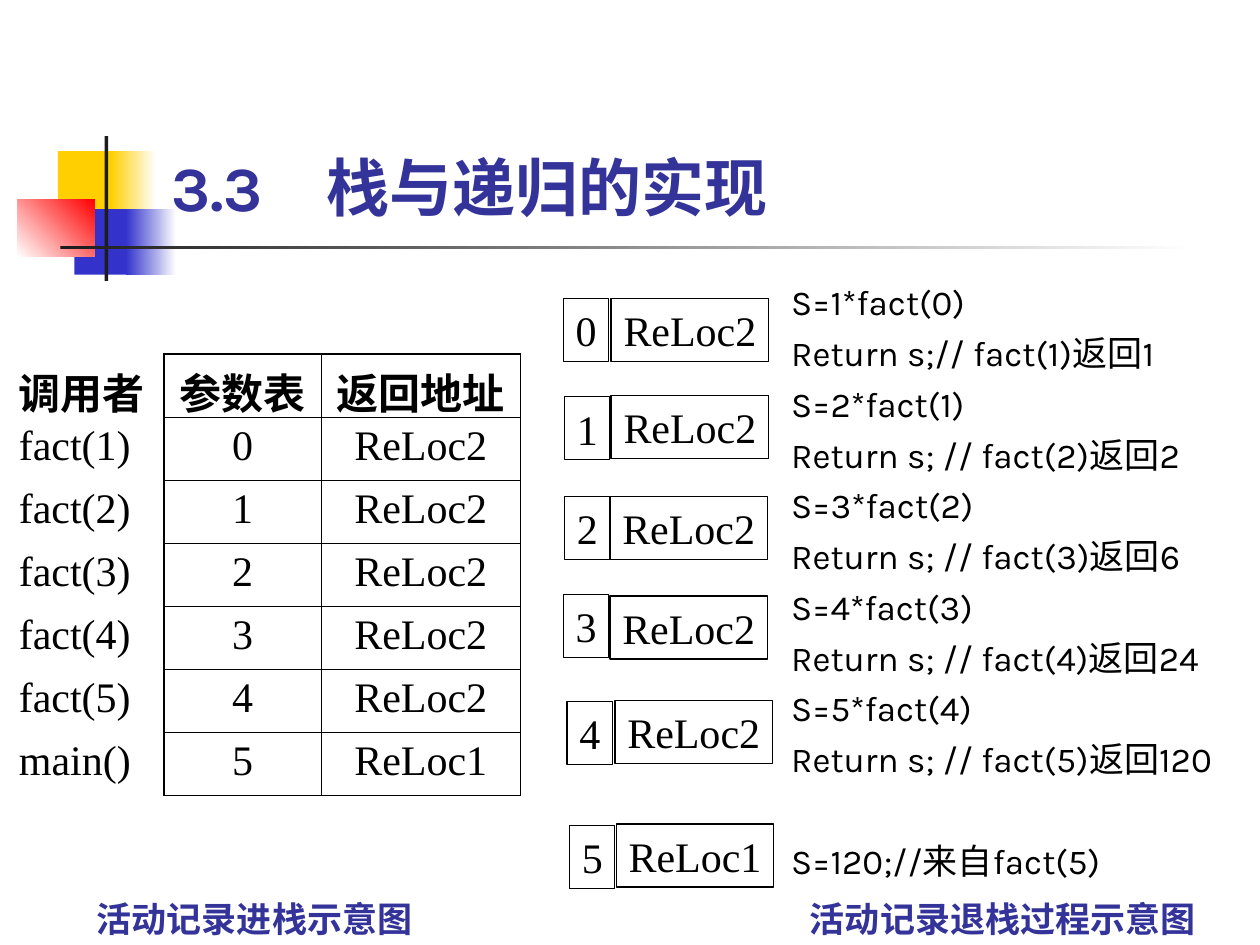
from dataclasses import dataclass
from typing import Optional

from lxml import etree
from pptx import Presentation
from pptx.dml.color import RGBColor
from pptx.enum.shapes import MSO_SHAPE
from pptx.enum.text import MSO_ANCHOR, PP_ALIGN
from pptx.oxml.ns import qn
from pptx.util import Inches, Pt

RECTANGLE = MSO_SHAPE.RECTANGLE
BOTTOM, TOP = MSO_ANCHOR.BOTTOM, MSO_ANCHOR.TOP
LEFT, CENTER = PP_ALIGN.LEFT, PP_ALIGN.CENTER
SANS, SERIF = "Karla", "Times New Roman"
COLORS = {
    "yellow": "FFCF01",
    "blue": "3333CC",
    "red": "FF0000",
    "white": "FFFFFF",
    "bar": "1C1C1C",
    "heading": "333399",
    "black": "000000",
}
ROW_HEIGHT = 0.5
TABLE_TOP = 2.81
THIN, THICK = 0.45, 1.08


@dataclass
class Block:
    """A decorative rectangle; it fades when it has an end colour."""
    left: float
    top: float
    width: float
    height: float
    start: str
    end: Optional[str] = None
    angle: float = 0


@dataclass
class Style:
    size: float
    font: str
    color: str = "black"
    bold: bool = False
    align: PP_ALIGN = LEFT


@dataclass
class StackRecord:
    """One activation record: argument box beside return address box."""
    argument: str
    argument_left: float
    argument_top: float
    address: str
    address_left: float
    address_top: float


BLOCKS = [
    Block(0.46, 1.2, 0.48, 0.52, "yellow"),
    Block(0.88, 1.2, 0.36, 0.52, "yellow", "white"),
    Block(0.59, 1.66, 0.46, 0.52, "blue"),
    Block(1, 1.66, 0.4, 0.52, "blue", "white"),
    Block(0.14, 1.58, 0.61, 0.46, "white", "red", 45),
    Block(0.83, 1.08, 0.03, 1.15, "bar"),
    Block(0.48, 1.95, 9, 0.03, "bar", "white"),
]
RECORDS = [
    StackRecord("0", 4.47, 2.37, "ReLoc2", 4.85, 2.37),
    StackRecord("1", 4.48, 3.15, "ReLoc2", 4.85, 3.14),
    StackRecord("2", 4.48, 3.94, "ReLoc2", 4.84, 3.94),
    StackRecord("3", 4.47, 4.72, "ReLoc2", 4.84, 4.73),
    StackRecord("4", 4.5, 5.57, "ReLoc2", 4.88, 5.56),
    StackRecord("5", 4.52, 6.55, "ReLoc1", 4.89, 6.54),
]
RESULTS = [
    "S=1*fact(0)", "Return s;// fact(1)返回1",
    "S=2*fact(1)", "Return s; // fact(2)返回2",
    "S=3*fact(2)", "Return s; // fact(3)返回6",
    "S=4*fact(3)", "Return s; // fact(4)返回24",
    "S=5*fact(4)", "Return s; // fact(5)返回120",
    "S=120;//来自fact(5)",
]
CALLERS = [["调用者"]] + [[f"fact({number})"] for number in range(1, 6)] + [["main()"]]
STACK_TABLE = [["参数表", "返回地址"]] + [
    [record.argument, record.address] for record in RECORDS
]
TITLE = Style(36, SANS, "heading", True)
CAPTION = Style(20, SANS, "heading", True)
RESULT = Style(20, SANS)
RECORD = Style(24, SERIF)


def rgb(name: str) -> RGBColor:
    return RGBColor.from_string(COLORS[name])


def style_paragraph(paragraph, style: Style) -> None:
    paragraph.alignment = style.align
    font = paragraph.font
    font.size = Pt(style.size)
    font.name = style.font
    font.bold = style.bold
    font.color.rgb = rgb(style.color)


def add_block(slide, block: Block) -> None:
    shape = slide.shapes.add_shape(RECTANGLE, Inches(block.left), Inches(block.top),
                                   Inches(block.width), Inches(block.height))
    shape.shadow.inherit = False
    shape.line.fill.background()
    if block.end is None:
        shape.fill.solid()
        shape.fill.fore_color.rgb = rgb(block.start)
        return
    shape.fill.gradient()
    shape.fill.gradient_angle = block.angle
    for stop, name in zip(shape.fill.gradient_stops, (block.start, block.end)):
        stop.color.rgb = rgb(name)


def add_text(slide, lines: list[str], left: float, top: float, width: float,
             height: float, style: Style, anchor: MSO_ANCHOR = TOP):
    """Add a text box with one paragraph per line and return its paragraphs."""
    box = slide.shapes.add_textbox(Inches(left), Inches(top), Inches(width), Inches(height))
    frame = box.text_frame
    frame.word_wrap = True
    frame.vertical_anchor = anchor
    frame.text = "\n".join(lines)
    for paragraph in frame.paragraphs:
        style_paragraph(paragraph, style)
    return frame.paragraphs


def add_record_box(slide, text: str, left: float, top: float, width: float) -> None:
    shape = slide.shapes.add_shape(RECTANGLE, Inches(left), Inches(top),
                                   Inches(width), Inches(ROW_HEIGHT))
    shape.shadow.inherit = False
    shape.fill.background()
    shape.line.color.rgb = rgb("black")
    shape.line.width = Pt(0.75)
    frame = shape.text_frame
    frame.word_wrap = False
    frame.vertical_anchor = TOP
    frame.text = text
    style_paragraph(frame.paragraphs[0], RECORD)


def set_border(cell, side: str, width: Optional[float]) -> None:
    """Draw one side (L, R, T or B) of a cell, or hide it without a width."""
    line = etree.SubElement(cell._tc.get_or_add_tcPr(), qn(f"a:ln{side}"))
    if width is None:
        etree.SubElement(line, qn("a:noFill"))
        return
    line.set("w", str(Pt(width)))
    fill = etree.SubElement(line, qn("a:solidFill"))
    etree.SubElement(fill, qn("a:srgbClr"), val=COLORS["black"])


def add_grid(slide, rows: list[list[str]], left: float, widths: list[float],
             align: PP_ALIGN, bordered: bool) -> None:
    """Add a table with a bold first row and, if bordered, a thicker frame."""
    table = slide.shapes.add_table(len(rows), len(widths), Inches(left), Inches(TABLE_TOP),
                                   Inches(sum(widths)), Inches(ROW_HEIGHT * len(rows))).table
    table.first_row = table.horz_banding = False
    for column, width in zip(table.columns, widths):
        column.width = Inches(width)
    for row_index, row in enumerate(rows):
        for column_index, text in enumerate(row):
            cell = table.cell(row_index, column_index)
            on_frame = {"L": column_index == 0, "R": column_index == len(widths) - 1,
                        "T": row_index == 0, "B": row_index == len(rows) - 1}
            for side, outer in on_frame.items():
                set_border(cell, side, (THICK if outer else THIN) if bordered else None)
            cell.fill.background()
            cell.text = text
            if row_index == 0:
                cell.margin_bottom = 0
            style_paragraph(cell.text_frame.paragraphs[0],
                            Style(24, SERIF, bold=row_index == 0, align=align))


def main() -> None:
    presentation = Presentation()
    presentation.slide_width, presentation.slide_height = Inches(10), Inches(7.5)
    slide = presentation.slides.add_slide(presentation.slide_layouts[6])
    for block in BLOCKS:
        add_block(slide, block)
    add_text(slide, ["3.3　栈与递归的实现"], 1.26, 0.23, 8.52, 1.6, TITLE, BOTTOM)
    results = add_text(slide, RESULTS, 6.18, 2.18, 3.82, 5.08, RESULT)
    for paragraph in results[1:]:
        paragraph.space_before = Pt(5)
    results[-1].space_before = Pt(34)
    for record in RECORDS:
        add_record_box(slide, record.argument, record.argument_left, record.argument_top, 0.36)
        add_record_box(slide, record.address, record.address_left, record.address_top, 1.25)
    add_text(slide, ["活动记录退栈过程示意图"], 6.33, 7.07, 3.67, 0.44, CAPTION)
    add_grid(slide, STACK_TABLE, 1.3, [1.25, 1.58], CENTER, True)
    add_text(slide, ["活动记录进栈示意图"], 0.67, 7.07, 3, 0.44, CAPTION)
    add_grid(slide, CALLERS, 0.05, [1.25], LEFT, False)
    presentation.save("out.pptx")


if __name__ == "__main__":
    main()
